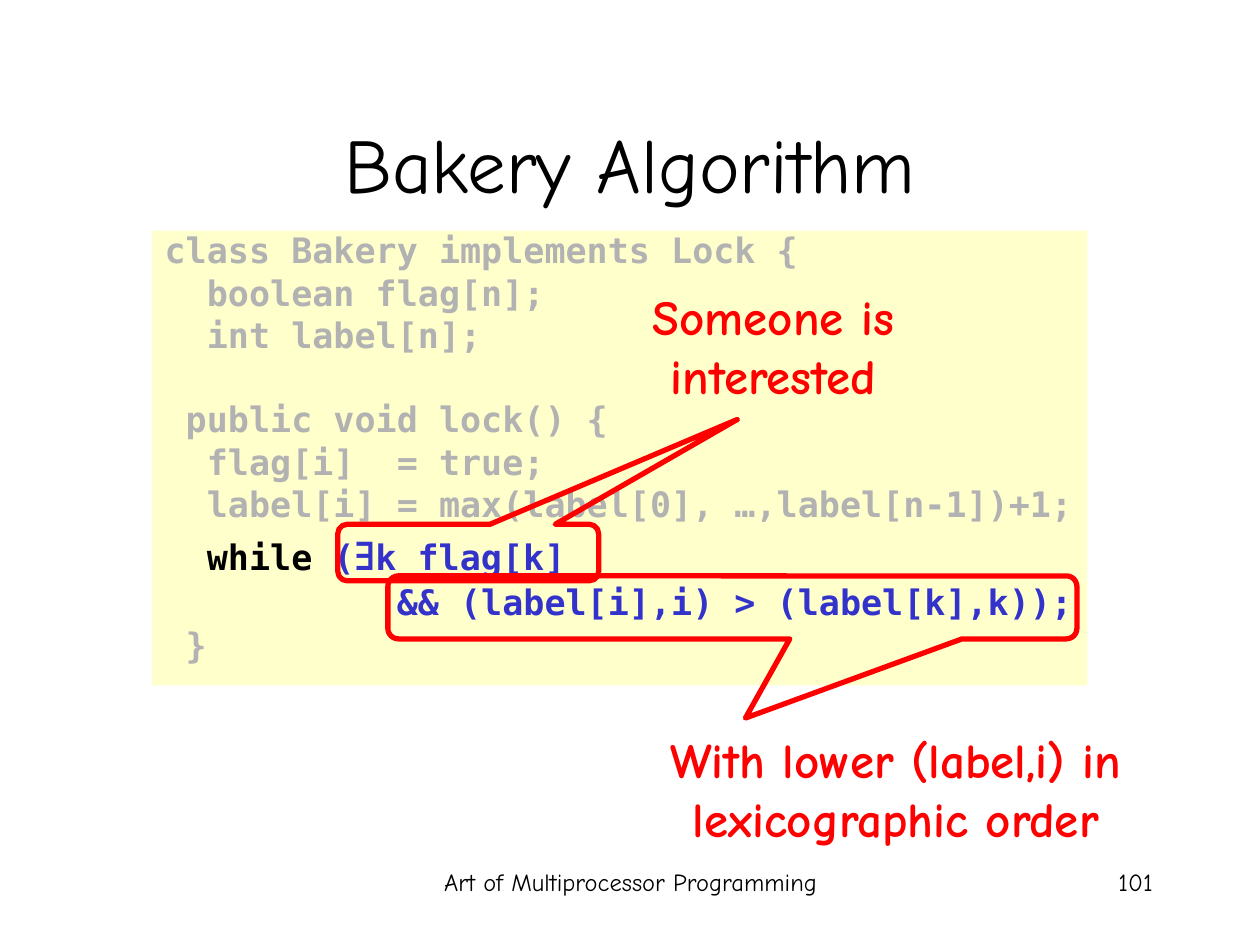
import pptx
import pptx.dml.color
import pptx.enum.shapes
import pptx.enum.text
import pptx.util

Cm = pptx.util.Cm
Pt = pptx.util.Pt
ALIGN = pptx.enum.text.PP_ALIGN
ANCHOR = pptx.enum.text.MSO_ANCHOR
SHAPE = pptx.enum.shapes.MSO_SHAPE

HAND, MONO, SYMBOL = "Comic Neue", "DejaVu Sans Mono", "Arial"
BLACK, RED, BLUE, GREY, CREAM = "000000", "FF0000", "3333CC", "B2B2B2", "FFFFCC"

# Boxes are left, top, width, height in cm.
LABELS = [
    ("Art of Multiprocessor Programming", (8.69, 17.35, 8.05, 1.27), dict(size=14)),
    ("101", (18.21, 17.35, 5.28, 1.27), dict(size=14, align=ALIGN.RIGHT)),
    ("Bakery Algorithm", (1.9, 1.7, 21.6, 3.18), dict(size=44, anchor=ANCHOR.MIDDLE)),
]

CODE_BOX = (3.07, 4.65, 18.85, 9.17)
LINE_GAP, SECTION_GAP = 5, 29
# Each line: its gap before in points, then its runs as (text, format).
CODE = [
    (0, [("class Bakery implements Lock {", {})]),
    (LINE_GAP, [("  boolean flag[n];", {})]),
    (LINE_GAP, [("  int label[n];", {})]),
    (SECTION_GAP, [(" public void lock() {", {})]),
    (LINE_GAP, [("  flag[i]  = true;", {})]),
    (LINE_GAP, [("  label[i] = max(label[0], …,label[n-1])+1;", {})]),
    (LINE_GAP, [("  while", dict(color=BLACK)), (" (", dict(color=BLUE)),
                ("∃", dict(color=BLUE, size=28, font=SYMBOL)),
                ("k flag[k]", dict(color=BLUE))]),
    (LINE_GAP, [("           && (label[i],i) > (label[k],k));", dict(color=BLUE))]),
    (LINE_GAP, [(" }", {})]),
]

# Callout box, pointer tip as a share of that box, remark, remark box.
CALLOUTS = [
    ((6.81, 10.57, 5.26, 1.14), (1.031, -2.354),
     "Someone is interested", (11.07, 5.66, 9.04, 2.64)),
    ((7.82, 11.61, 13.89, 1.27), (0.019, 1.757),
     "With lower (label,i) in lexicographic order", (12.52, 14.58, 11.07, 2.64)),
]


def rgb(value):
    return pptx.dml.color.RGBColor.from_string(value)


def place(box):
    return [Cm(length) for length in box]


def add_run(paragraph, text, size=20, color=BLACK, font=HAND, bold=False):
    run = paragraph.add_run()
    run.text = text
    run.font.size = Pt(size)
    run.font.name = font
    run.font.bold = bold
    run.font.color.rgb = rgb(color)


def add_label(slide, text, box, align=ALIGN.CENTER, anchor=ANCHOR.TOP, **style):
    frame = slide.shapes.add_textbox(*place(box)).text_frame
    frame.word_wrap = True
    frame.vertical_anchor = anchor
    frame.paragraphs[0].alignment = align
    add_run(frame.paragraphs[0], text, **style)


def add_code(slide):
    panel = slide.shapes.add_shape(SHAPE.RECTANGLE, *place(CODE_BOX))
    panel.shadow.inherit = False
    panel.fill.solid()
    panel.fill.fore_color.rgb = rgb(CREAM)
    panel.line.fill.background()
    frame = panel.text_frame
    frame.word_wrap = True
    frame.vertical_anchor = ANCHOR.TOP
    for number, (gap, runs) in enumerate(CODE):
        line = frame.add_paragraph() if number else frame.paragraphs[0]
        line.alignment = ALIGN.LEFT
        line.line_spacing = 0.8
        line.space_before = Pt(gap)
        for text, style in runs:
            add_run(line, text, **{"font": MONO, "color": GREY, "bold": True, **style})


def add_callout(slide, box, tip):
    callout = slide.shapes.add_shape(SHAPE.ROUNDED_RECTANGULAR_CALLOUT, *place(box))
    callout.shadow.inherit = False
    callout.fill.background()
    callout.line.color.rgb = rgb(RED)
    callout.line.width = Pt(3)
    callout.adjustments[0], callout.adjustments[1] = tip


def main():
    deck = pptx.Presentation()
    deck.slide_width, deck.slide_height = Cm(25.4), Cm(19.05)
    slide = deck.slides.add_slide(deck.slide_layouts[6])
    for text, box, style in LABELS:
        add_label(slide, text, box, **style)
    add_code(slide)
    for box, tip, remark, remark_box in CALLOUTS:
        add_callout(slide, box, tip)
        add_label(slide, remark, remark_box, size=28, color=RED, bold=True)
    deck.save("out.pptx")


if __name__ == "__main__":
    main()
